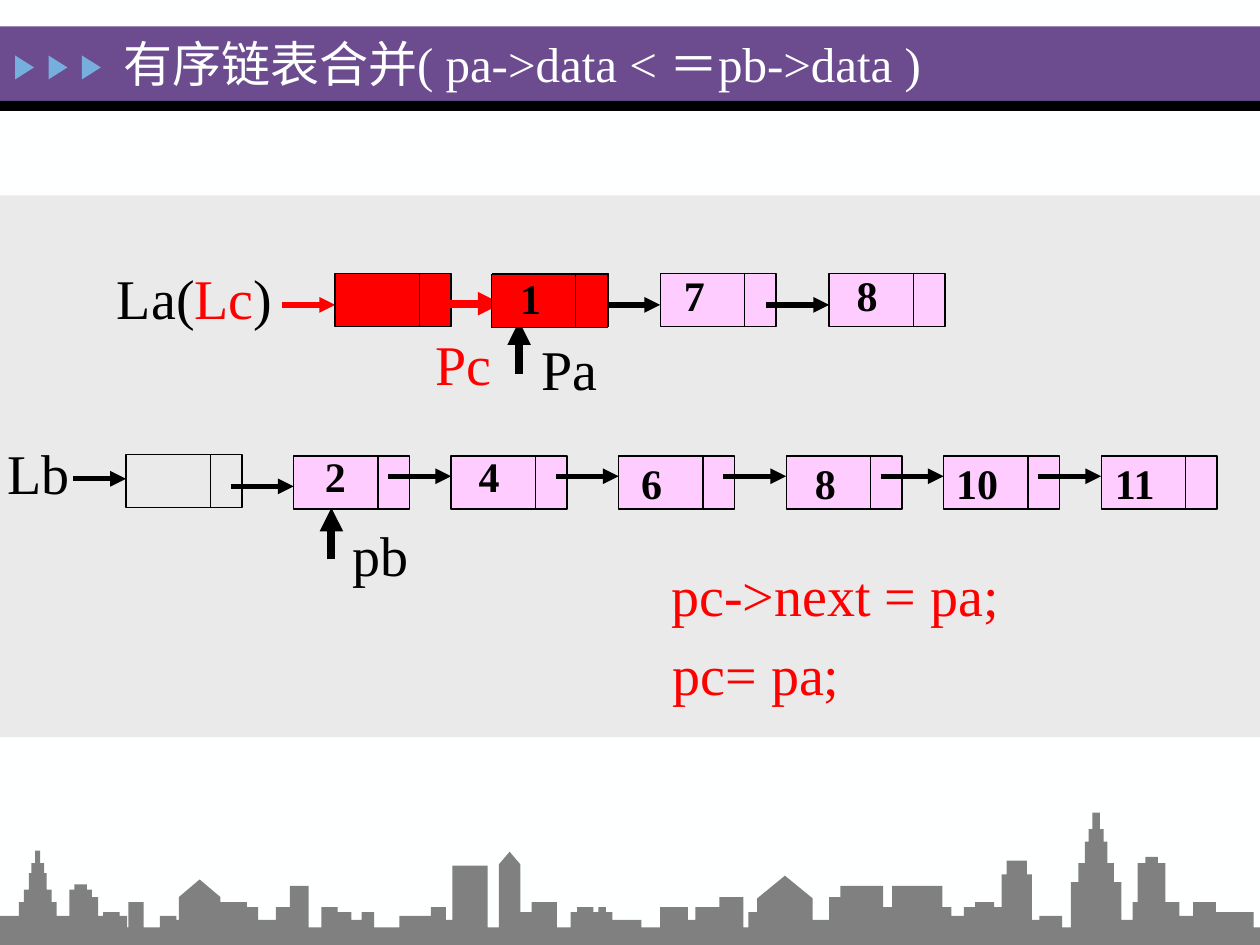
from dataclasses import dataclass

from lxml import etree
from pptx import Presentation
from pptx.dml.color import RGBColor
from pptx.enum.shapes import MSO_CONNECTOR, MSO_SHAPE
from pptx.enum.text import MSO_ANCHOR, MSO_AUTO_SIZE, PP_ALIGN
from pptx.oxml.ns import qn
from pptx.util import Inches, Pt

RECTANGLE = MSO_SHAPE.RECTANGLE
TRIANGLE = MSO_SHAPE.ISOSCELES_TRIANGLE
STRAIGHT = MSO_CONNECTOR.STRAIGHT
TITLE_ONLY = 5
SLIDE_WIDTH, SLIDE_HEIGHT = 10, 7.5


@dataclass(frozen=True)
class Theme:
    font: str = "Times New Roman"
    paper: str = "FEFFFF"
    purple: str = "6C4C8F"
    black: str = "000000"
    blue: str = "76AEDD"
    panel: str = "EAEAEA"
    pink: str = "FFCCFF"
    red: str = "FF0000"
    gray: str = "808080"
    title_size: int = 28
    label_size: int = 32
    value_size: int = 24
    border: float = 0.75
    link: float = 3
    pointer: float = 4.5


THEME = Theme()

DATA_WIDTH, NEXT_WIDTH, NODE_HEIGHT = 0.67, 0.25, 0.42
LINK_LENGTH = 0.5
LA_TOP, LB_TOP = 2.17, 3.62

# node left, value, value left, value top
LA_NODES = [(5.24, "7", 5.33, 2.09), (6.58, "8", 6.7, 2.09)]
LB_NODES = [
    (2.33, "2", 2.48, 3.53), (3.58, "4", 3.7, 3.53), (4.91, "6", 4.99, 3.58),
    (6.24, "8", 6.37, 3.58), (7.49, "10", 7.49, 3.58), (8.74, "11", 8.75, 3.58),
]

# City blocks: height of the roof -> (left, right) of the blocks with that roof.
BLOCKS = {
    7.36: [(0, SLIDE_WIDTH)],
    7.3: [(1.27, 2.19), (2.55, 2.97), (3.42, 3.87), (4.86, 5.09), (5.24, 5.71),
          (6.45, 6.58), (8.19, 8.43), (8.83, 9)],
    7.27: [(0, 0.55), (0.78, 1.01), (1.27, 1.4), (3.17, 3.54), (7.48, 8),
           (8.25, 8.43), (9.25, 9.65)],
    7.24: [(0.82, 0.95), (2.68, 2.79), (2.87, 2.97), (4.13, 4.42), (4.53, 4.86),
           (5.94, 6.01), (9.47, 9.95)],
    7.2: [(1.96, 2.05), (2.19, 2.45), (2.55, 2.68), (3.42, 3.54), (4.58, 4.71),
          (5.24, 5.46), (5.52, 5.9), (6.67, 7.55), (7.65, 7.95)],
    7.16: [(1.02, 1.14), (1.75, 1.96), (4.22, 4.42), (7.74, 7.89), (8.99, 9.36),
           (9.47, 9.65)],
    7.12: [(0.55, 0.78), (5.71, 5.9), (6.58, 7.01)],
    7.03: [(2.3, 2.45), (6.67, 7.01), (7.08, 7.48)],
    6.87: [(3.59, 3.87)],
}
# Stepped towers: centre -> (half width, top) of each storey, from the tip down.
TOWERS = {
    0.3: [(0.02, 6.75), (0.05, 6.85), (0.07, 6.93), (0.11, 7.06), (0.15, 7.16)],
    0.64: [(0.05, 7.02), (0.09, 7.06)],
    4.78: [(0.03, 7.2)],
    8.07: [(0.08, 6.83), (0.12, 6.94)],
    8.7: [(0.03, 6.45), (0.06, 6.58), (0.09, 6.68), (0.14, 6.85), (0.2, 7)],
    9.14: [(0.05, 6.8), (0.11, 6.85)],
}
# Gabled houses: (left, right, eave, peak).
HOUSES = [(1.42, 1.75, 7.12, 6.98), (3.96, 4.13, 6.86, 6.76), (6.01, 6.45, 7.13, 6.95)]


def rgb(color):
    return RGBColor.from_string(color)


def paint(shape, fill=None, border=None):
    shape.shadow.inherit = False
    if fill:
        shape.fill.solid()
        shape.fill.fore_color.rgb = rgb(fill)
    else:
        shape.fill.background()
    if border:
        shape.line.color.rgb = rgb(border)
        shape.line.width = Pt(THEME.border)
    else:
        shape.line.fill.background()


def add_box(shapes, left, top, width, height, fill=None, border=None, kind=RECTANGLE):
    shape = shapes.add_shape(kind, Inches(left), Inches(top), Inches(width), Inches(height))
    paint(shape, fill, border)
    return shape


def add_node(shapes, left, top, fill=None):
    """Draw a list node: a data cell and a next cell."""
    cells = shapes.add_group_shape().shapes
    add_box(cells, left, top, DATA_WIDTH, NODE_HEIGHT, fill, THEME.black)
    add_box(cells, left + DATA_WIDTH, top, NEXT_WIDTH, NODE_HEIGHT, fill, THEME.black)


def add_arrow(shapes, start, end, color=THEME.black, width=THEME.link):
    points = [Inches(value) for value in (*start, *end)]
    connector = shapes.add_connector(STRAIGHT, *points)
    connector.line.color.rgb = rgb(color)
    connector.line.width = Pt(width)
    etree.SubElement(connector.line._get_or_add_ln(), qn("a:tailEnd"), type="triangle")
    etree.SubElement(connector._element.spPr, qn("a:effectLst"))


def add_text(shapes, left, top, width, height, parts, size=THEME.label_size,
             bold=False, wrap=False):
    """Add one line of text from (text, color) parts."""
    box = shapes.add_textbox(Inches(left), Inches(top), Inches(width), Inches(height))
    box.text_frame.word_wrap = wrap
    box.text_frame.auto_size = MSO_AUTO_SIZE.SHAPE_TO_FIT_TEXT
    paragraph = box.text_frame.paragraphs[0]
    paragraph.font.name = THEME.font
    paragraph.font.size = Pt(size)
    paragraph.font.bold = bold
    for text, color in parts:
        run = paragraph.add_run()
        run.text = text
        run.font.color.rgb = rgb(color)


def add_value(shapes, left, top, value):
    width = 0.2 + 0.17 * len(value)
    add_text(shapes, left, top, width, 0.51, [(value, THEME.black)], THEME.value_size, bold=True)


def add_linked_node(shapes, node, top, link_y):
    """Draw a node with its value and the arrow that leads into it."""
    left, value, value_left, value_top = node
    add_node(shapes, left, top, THEME.pink)
    add_arrow(shapes, (left - LINK_LENGTH, link_y), (left, link_y))
    add_value(shapes, value_left, value_top, value)


def add_header(slide):
    shapes = slide.shapes
    add_box(shapes, 0, 0.21, SLIDE_WIDTH, 0.59, THEME.purple)
    add_box(shapes, 0, 0.8, SLIDE_WIDTH, 0.08, THEME.black)
    for index in range(3):
        marker = add_box(shapes, 0.1 + 0.265 * index, 0.46, 0.19, 0.15, THEME.blue, kind=TRIANGLE)
        marker.rotation = 90

    title = shapes.title
    title.left, title.top = Inches(0.88), Inches(0.22)
    title.width, title.height = Inches(8.53), Inches(0.56)
    frame = title.text_frame
    frame.text = "有序链表合并( pa->data < ＝pb->data )"
    frame.word_wrap = True
    frame.auto_size = MSO_AUTO_SIZE.NONE
    frame.vertical_anchor = MSO_ANCHOR.MIDDLE
    paragraph = frame.paragraphs[0]
    paragraph.alignment = PP_ALIGN.LEFT
    paragraph.font.name = THEME.font
    paragraph.font.size = Pt(THEME.title_size)
    paragraph.font.color.rgb = rgb(THEME.paper)
    shapes._spTree.append(title._element)  # bring in front of the bar


def add_list_la(shapes):
    add_text(shapes, 0.83, 2.04, 1.61, 0.63,
             [("La(", THEME.black), ("Lc", THEME.red), (")", THEME.black)], wrap=True)
    add_arrow(shapes, (2.24, 2.42), (2.66, 2.42), THEME.red)
    add_node(shapes, 2.66, LA_TOP, THEME.red)
    add_node(shapes, 3.91, LA_TOP, THEME.pink)
    for node in LA_NODES:
        add_linked_node(shapes, node, LA_TOP, 2.42)
    add_arrow(shapes, (3.48, 2.41), (3.98, 2.41), THEME.red, THEME.pointer)
    add_arrow(shapes, (4.12, 2.97), (4.12, 2.55), width=THEME.pointer)
    add_node(shapes, 3.9, 2.18, THEME.red)
    add_value(shapes, 4.03, 2.11, "1")
    add_text(shapes, 3.36, 2.57, 0.95, 0.63, [("Pc", THEME.red)], wrap=True)
    add_text(shapes, 4.2, 2.61, 0.79, 0.63, [("Pa", THEME.black)], wrap=True)


def add_list_lb(shapes):
    add_text(shapes, -0.04, 3.43, 0.7, 0.64, [("Lb", THEME.black)])
    add_arrow(shapes, (0.58, 3.8), (1, 3.8))
    add_node(shapes, 1, 3.61)
    for index, node in enumerate(LB_NODES):
        add_linked_node(shapes, node, LB_TOP, 3.78 if index else 3.86)
    add_arrow(shapes, (2.63, 4.44), (2.63, 4.03), width=THEME.pointer)
    add_text(shapes, 2.7, 4.08, 0.65, 0.64, [("pb", THEME.black)])


def skyline_outline():
    """Trace the highest roof over each stretch between two walls."""
    roofs = [(left, right, top) for top, spans in BLOCKS.items() for left, right in spans]
    roofs += [(round(centre - half, 2), round(centre + half, 2), top)
              for centre, storeys in TOWERS.items() for half, top in storeys]
    roofs += [(left, right, eave) for left, right, eave, _ in HOUSES]
    peaks = {left: ((left + right) / 2, peak) for left, right, _, peak in HOUSES}
    walls = sorted({wall for left, right, _ in roofs for wall in (left, right)})
    points = []
    for start, end in zip(walls, walls[1:]):
        top = min(top for left, right, top in roofs if left <= start and end <= right)
        points.append((start, top))
        if start in peaks:
            points.append(peaks[start])
        points.append((end, top))
    return points


def add_skyline(shapes):
    points = skyline_outline() + [(SLIDE_WIDTH, SLIDE_HEIGHT)]
    builder = shapes.build_freeform(0, Inches(SLIDE_HEIGHT))
    builder.add_line_segments([(Inches(x), Inches(y)) for x, y in points], close=True)
    paint(builder.convert_to_shape(), THEME.gray)


def main():
    presentation = Presentation()
    presentation.slide_width, presentation.slide_height = Inches(SLIDE_WIDTH), Inches(SLIDE_HEIGHT)
    slide = presentation.slides.add_slide(presentation.slide_layouts[TITLE_ONLY])
    slide.background.fill.solid()
    slide.background.fill.fore_color.rgb = rgb(THEME.paper)
    shapes = slide.shapes
    add_header(slide)
    add_box(shapes, 0, 1.55, SLIDE_WIDTH, 4.3, THEME.panel)
    add_list_la(shapes)
    add_list_lb(shapes)
    for left, top, code in [(5.23, 4.4, "pc->next = pa;"), (5.24, 5.03, "pc= pa;")]:
        add_text(shapes, left, top, 4.03, 0.63, [(code, THEME.red)], wrap=True)
    add_skyline(shapes)
    presentation.save("out.pptx")


if __name__ == "__main__":
    main()
